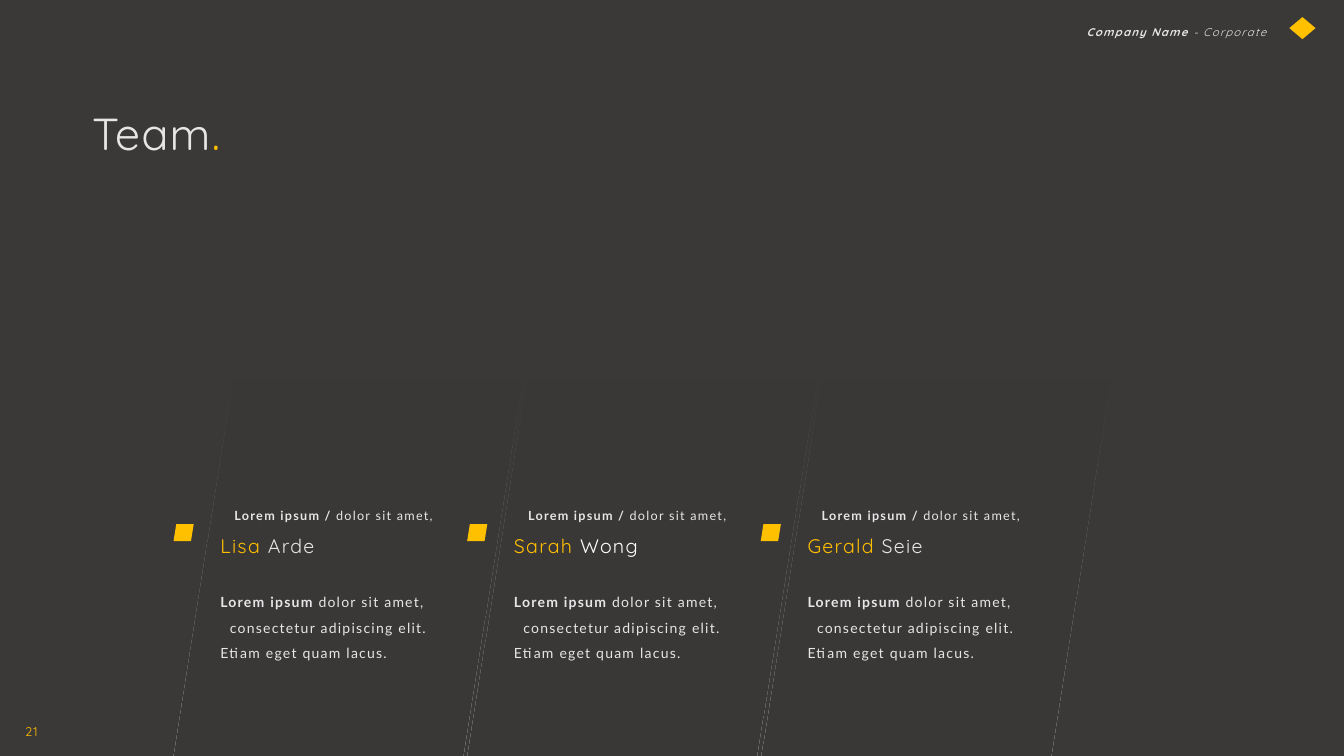
import dataclasses

import pptx
import pptx.dml.color
import pptx.enum.shapes
import pptx.enum.text
import pptx.oxml
import pptx.oxml.ns
import pptx.util

Pt = pptx.util.Pt
Align = pptx.enum.text.PP_ALIGN
Preset = pptx.enum.shapes.MSO_SHAPE

BACKGROUND, LIGHT, WHITE, ACCENT = "3B3838", "E7E6E6", "FFFFFF", "FFC000"
HEADING_FONT, BODY_FONT = "Quicksand", "Lato"

# Slanted panels, one per member
PANEL_LEFT, PANEL_PITCH, PANEL_WIDTH = 124, 209.7, 206.8
PANEL_TOP, PANEL_BOTTOM, PANEL_SLANT = 270, 540, 43


@dataclasses.dataclass
class Span:
    text: str
    color: str = LIGHT
    bold: bool = False
    italic: bool = False


@dataclasses.dataclass
class Line:
    spans: list[Span]
    indent: float = 0


@dataclasses.dataclass
class Member:
    first_name: str
    last_name: str
    last_color: str = LIGHT


MEMBERS = [
    Member("Lisa", "Arde"),
    Member("Sarah", "Wong", WHITE),
    Member("Gerald", "Seie"),
]
ROLE = [Line([Span("Lorem ipsum / ", bold=True), Span("dolor sit amet,")])]
BIOGRAPHY = [
    Line([Span("Lorem ipsum ", bold=True), Span("dolor sit amet,")]),
    Line([Span("consectetur adipiscing elit.")], indent=6.8),
    Line([Span("Etiam eget quam lacus.")]),
]


def rgb(color: str) -> pptx.dml.color.RGBColor:
    return pptx.dml.color.RGBColor.from_string(color)


def write(shape, lines: list[Line], size: float, font: str,
          align=Align.LEFT, spacing: float = 1.5, wrap: bool = True) -> None:
    frame = shape.text_frame
    frame.word_wrap = wrap
    frame.auto_size = pptx.enum.text.MSO_AUTO_SIZE.SHAPE_TO_FIT_TEXT
    frame.vertical_anchor = pptx.enum.text.MSO_ANCHOR.TOP
    for index, line in enumerate(lines):
        para = frame.add_paragraph() if index else frame.paragraphs[0]
        para.alignment = align
        para.line_spacing = spacing
        para.space_before = Pt(0)
        if line.indent:
            para._p.get_or_add_pPr().set("marL", str(Pt(line.indent)))
        for span in line.spans:
            run = para.add_run()
            run.text = span.text
            run.font.name = font
            run.font.size = Pt(size)
            run.font.bold = span.bold
            run.font.italic = span.italic
            run.font.color.rgb = rgb(span.color)
            run._r.get_or_add_rPr().set("spc", "90")


def add_text(page, left: float, top: float, width: float, height: float,
             lines: list[Line], size: float, font: str, align=Align.LEFT):
    box = page.shapes.add_textbox(Pt(left), Pt(top), Pt(width), Pt(height))
    write(box, lines, size, font, align)
    return box


def add_plain(page, preset, left: float, top: float, width: float, height: float):
    shape = page.shapes.add_shape(preset, Pt(left), Pt(top), Pt(width), Pt(height))
    shape.shadow.inherit = False
    shape.fill.solid()
    shape.fill.fore_color.rgb = rgb(ACCENT)
    shape.line.fill.background()
    return shape


def add_panels(page) -> None:
    builder = None
    for index in range(len(MEMBERS)):
        left = PANEL_LEFT + index * PANEL_PITCH
        corners = [
            (Pt(left + PANEL_SLANT), Pt(PANEL_TOP)),
            (Pt(left + PANEL_SLANT + PANEL_WIDTH), Pt(PANEL_TOP)),
            (Pt(left + PANEL_WIDTH), Pt(PANEL_BOTTOM)),
            (Pt(left), Pt(PANEL_BOTTOM)),
        ]
        if builder is None:
            builder = page.shapes.build_freeform(*corners[0])
        else:
            builder.move_to(*corners[0])
        builder.add_line_segments(corners[1:], close=True)
    panels = builder.convert_to_shape()
    panels.shadow.inherit = False
    panels.line.fill.background()
    # Fade downwards from transparent to the background colour
    panels.fill.gradient()
    panels.fill.gradient_angle = 270
    for stop, position in zip(panels.fill.gradient_stops, (0, 1)):
        stop.position = position
        stop.color.rgb = rgb(BACKGROUND)
    first_color = panels._element.spPr.find(".//" + pptx.oxml.ns.qn("a:srgbClr"))
    first_color.append(pptx.oxml.parse_xml(
        f'<a:alpha {pptx.oxml.ns.nsdecls("a")} val="0"/>'))


def add_member(page, member: Member, shift: float) -> None:
    biography = add_text(page, 150.3 + shift, 414.7, 162, 60, BIOGRAPHY, 10, BODY_FONT)
    biography.text_frame.margin_right = 0
    name = [Line([Span(member.first_name + " ", ACCENT),
                  Span(member.last_name, member.last_color)])]
    add_text(page, 150.3 + shift, 369.4, 152.6, 29.5, name, 14, HEADING_FONT)
    add_text(page, 160.4 + shift, 353.5, 162, 21.6, ROLE, 9, BODY_FONT)
    marker = add_plain(page, Preset.PARALLELOGRAM, PANEL_LEFT + shift, 374.4, 14.4, 12.2)
    marker.adjustments[0] = 0.16


def main() -> None:
    deck = pptx.Presentation()
    deck.slide_width, deck.slide_height = Pt(960), Pt(540)
    page = deck.slides.add_slide(deck.slide_layouts[5])
    page.background.fill.solid()
    page.background.fill.fore_color.rgb = rgb(BACKGROUND)

    # Title
    title = page.shapes.title
    title.left, title.top, title.width, title.height = Pt(48.2), Pt(72), Pt(126.7), Pt(46)
    write(title, [Line([Span("Team"), Span(".", ACCENT)])], 32, HEADING_FONT,
          Align.CENTER, spacing=1, wrap=False)

    # Header and page number
    add_plain(page, Preset.DIAMOND, 921, 12.2, 18.7, 15.8)
    header = [Line([Span("Company Name ", bold=True, italic=True),
                    Span("- Corporate", italic=True)])]
    add_text(page, 766, 9.4, 145.6, 20.2, header, 8, HEADING_FONT, Align.RIGHT)
    add_text(page, 10.8, 508.3, 38.2, 21.6, [Line([Span("21", ACCENT)])], 9, HEADING_FONT)

    # Team members
    add_panels(page)
    for index, member in enumerate(MEMBERS):
        add_member(page, member, index * PANEL_PITCH)

    deck.save("out.pptx")


if __name__ == "__main__":
    main()
